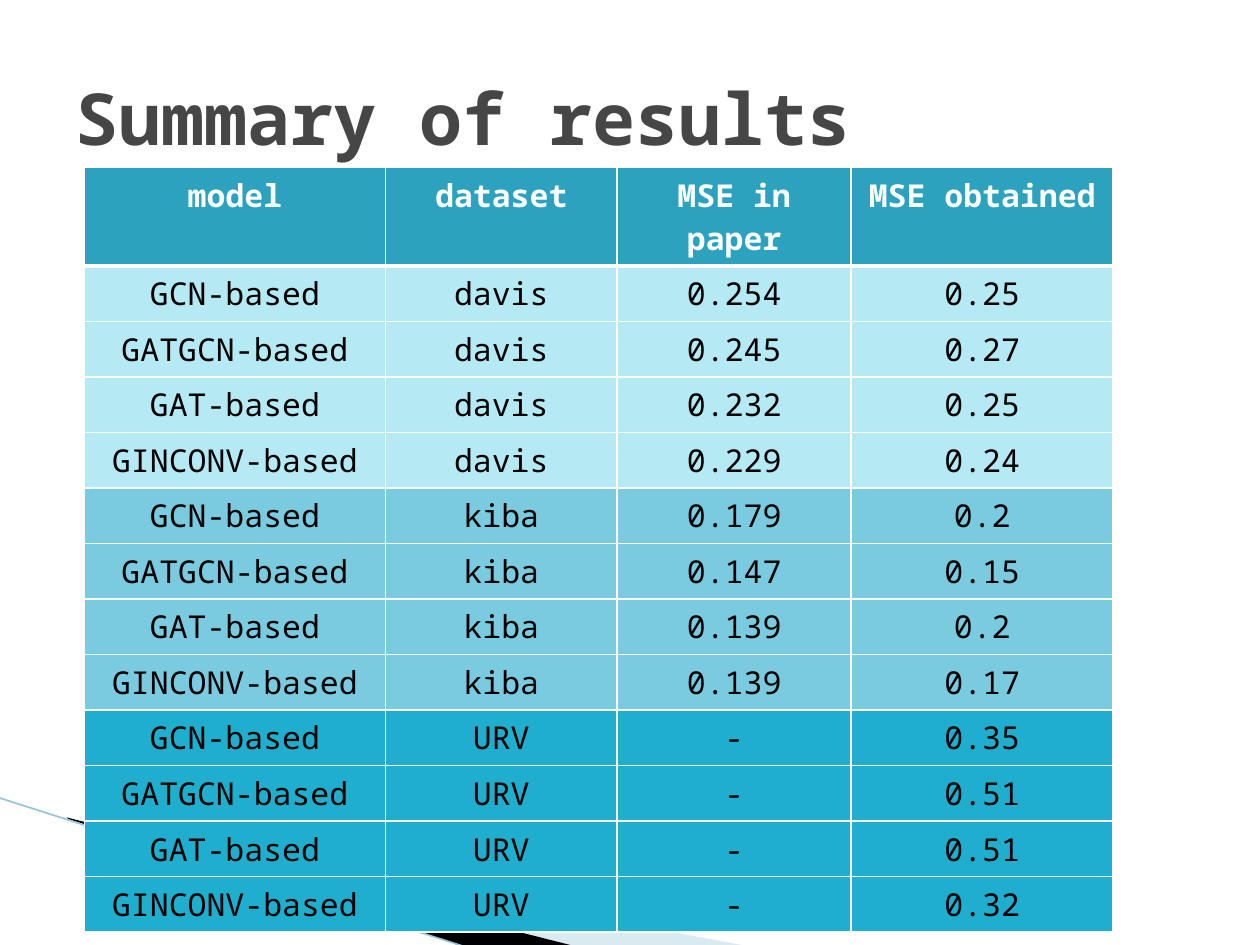
from lxml import etree
from pptx import Presentation
from pptx.dml.color import RGBColor
from pptx.enum.shapes import MSO_CONNECTOR
from pptx.enum.text import MSO_ANCHOR, PP_ALIGN
from pptx.oxml.ns import qn
from pptx.util import Cm, Pt

LEFT, CENTER = PP_ALIGN.LEFT, PP_ALIGN.CENTER
MIDDLE = MSO_ANCHOR.MIDDLE
STRAIGHT = MSO_CONNECTOR.STRAIGHT

TITLE_ONLY = 5
FONT = "Noto Sans Mono"
WHITE, BLACK = "FFFFFF", "000000"
HEADER_FILL = "2DA2BF"
HEADERS = ["model", "dataset", "MSE in paper", "MSE obtained"]
COL_WIDTHS = [6.07, 4.67, 4.72, 5.28]
ROW_HEIGHT = 1.03
MODELS = ["GCN-based", "GATGCN-based", "GAT-based", "GINCONV-based"]
# dataset, fill, MSE in paper and MSE obtained in the order of MODELS
DATASETS = [
    ("davis", "B5E9F4", ["0.254", "0.245", "0.232", "0.229"],
     ["0.25", "0.27", "0.25", "0.24"]),
    ("kiba", "7ACBE0", ["0.179", "0.147", "0.139", "0.139"],
     ["0.2", "0.15", "0.2", "0.17"]),
    ("URV", "1FAECD", ["-"] * 4, ["0.35", "0.51", "0.51", "0.32"]),
]


def rgb(color):
    return RGBColor.from_string(color)


def set_text(tf, text, size=18, color=BLACK, bold=False, align=LEFT):
    p = tf.paragraphs[0]
    p.alignment = align
    r = p.add_run()
    r.text = text
    r.font.name = FONT
    r.font.size = Pt(size)
    r.font.bold = bold
    r.font.color.rgb = rgb(color)


def add_polygon(s, points, color, alpha=None):
    """Add a closed, unlined outline; points are in cm and alpha in percent."""
    start, *rest = [(Cm(x), Cm(y)) for x, y in points]
    builder = s.shapes.build_freeform(*start)
    builder.add_line_segments(rest)
    sp = builder.convert_to_shape()
    sp.shadow.inherit = False
    sp.line.fill.background()
    sp.fill.solid()
    sp.fill.fore_color.rgb = rgb(color)
    if alpha is not None:
        clr = sp._element.spPr.find(qn("a:solidFill"))[0]
        etree.SubElement(clr, qn("a:alpha"), val=str(alpha * 1000))


def add_line(s, x1, y1, x2, y2, color, width):
    line = s.shapes.add_connector(STRAIGHT, Cm(x1), Cm(y1), Cm(x2), Cm(y2))
    line.line.color.rgb = rgb(color)
    line.line.width = Pt(width)
    etree.SubElement(line._element.spPr, qn("a:effectLst"))


def set_borders(cell, top=1, bottom=1):
    """Draw white borders, in points, ahead of the fill in the cell properties."""
    tcPr = cell._tc.get_or_add_tcPr()
    sides = [("L", 1), ("R", 1), ("T", top), ("B", bottom)]
    for i, (side, width) in enumerate(sides):
        ln = etree.Element(qn(f"a:ln{side}"), w=str(Pt(width)))
        fill = etree.SubElement(ln, qn("a:solidFill"))
        etree.SubElement(fill, qn("a:srgbClr"), val=WHITE)
        tcPr.insert(i, ln)


def result_rows():
    """Yield the fill and the cell texts of each row below the header."""
    for dataset, fill, paper, obtained in DATASETS:
        for model, expected, result in zip(MODELS, paper, obtained):
            yield fill, [model, dataset, expected, result]


def add_results_table(s):
    rows = [(HEADER_FILL, HEADERS), *result_rows()]
    table = s.shapes.add_table(
        len(rows), len(HEADERS), Cm(1.7), Cm(3.38),
        Cm(sum(COL_WIDTHS)), Cm(ROW_HEIGHT * len(rows))).table
    for col, width in zip(table.columns, COL_WIDTHS):
        col.width = Cm(width)
    for i, (fill, texts) in enumerate(rows):
        table.rows[i].height = Cm(ROW_HEIGHT)
        header = i == 0
        for j, text in enumerate(texts):
            cell = table.cell(i, j)
            cell.fill.solid()
            cell.fill.fore_color.rgb = rgb(fill)
            set_borders(cell, top=3 if i == 1 else 1, bottom=3 if header else 1)
            set_text(cell.text_frame, text, color=WHITE if header else BLACK,
                     bold=header, align=CENTER)


def add_title(s, text):
    """Format the title placeholder and bring it in front of the table."""
    sp = s.shapes.title
    sp.left, sp.top, sp.width, sp.height = Cm(1.27), Cm(0.76), Cm(22.86), Cm(3.18)
    sp.text_frame.vertical_anchor = MIDDLE
    set_text(sp.text_frame, text, size=41, color="464646", bold=True)
    sp._element.getparent().append(sp._element)


def main():
    prs = Presentation()
    prs.slide_width, prs.slide_height = Cm(25.4), Cm(19.05)
    s = prs.slides.add_slide(prs.slide_layouts[TITLE_ONLY])
    add_polygon(s, [(1.4, 16.54), (15.11, 19.08), (11.58, 19.08), (1.4, 16.51)],
                "A0CBDC", alpha=40)
    add_polygon(s, [(1.35, 16.48), (11.61, 19.08), (9.45, 19.1), (1.37, 16.51)],
                BLACK)
    add_line(s, -0.03, 16.08, 9.42, 19.1, "97C5D8", 0.95)
    add_results_table(s)
    add_title(s, "Summary of results")
    prs.save("out.pptx")


if __name__ == "__main__":
    main()
